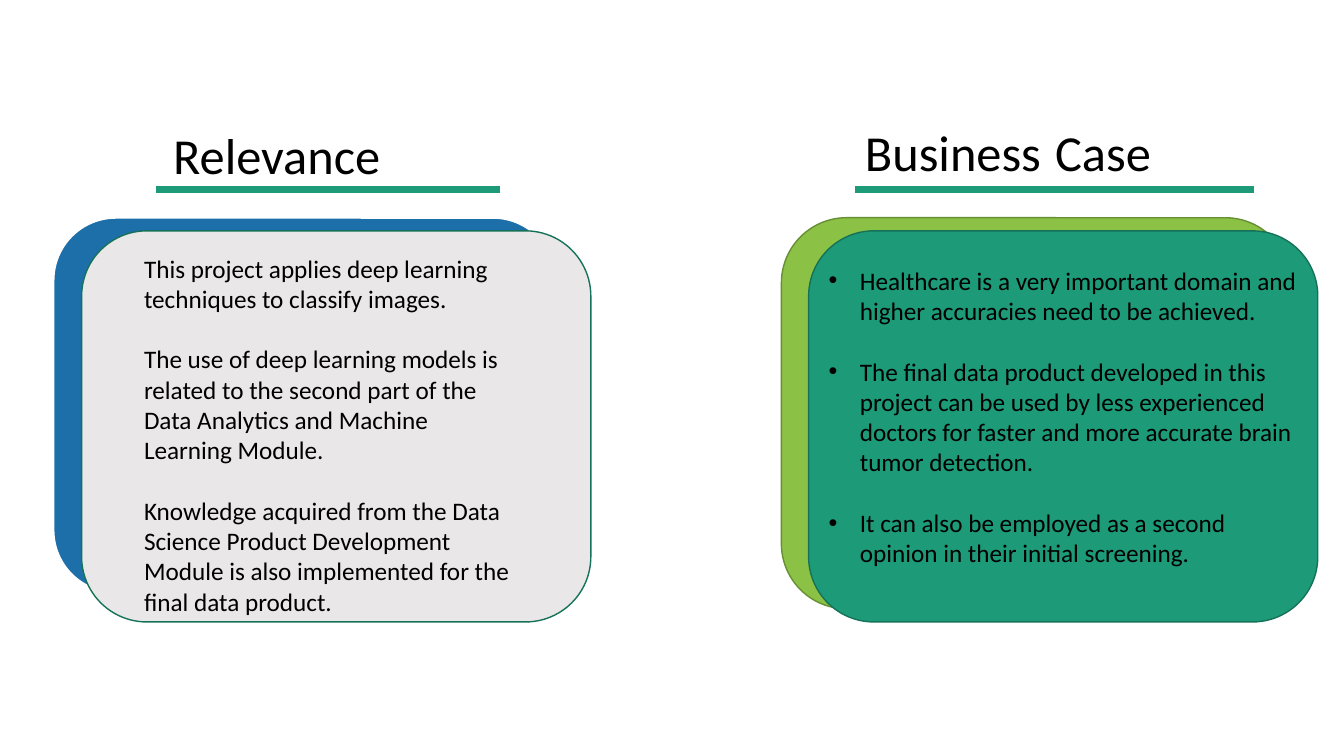
from lxml import etree
from pptx import Presentation
from pptx.dml.color import RGBColor
from pptx.enum.shapes import MSO_CONNECTOR, MSO_SHAPE
from pptx.oxml.ns import qn
from pptx.util import Inches, Pt

ROUNDED = MSO_SHAPE.ROUNDED_RECTANGLE
STRAIGHT = MSO_CONNECTOR.STRAIGHT
GREEN, DARK_GREEN = "1D9A78", "157259"
RULE_TOP = 1.88

RELEVANCE = [
    "This project applies deep learning techniques to classify images.",
    "The use of deep learning models is related to the second part of the "
    "Data Analytics and Machine Learning Module.",
    "Knowledge acquired from the Data Science Product Development Module is "
    "also implemented for the final data product.",
]
BUSINESS_CASE = [
    "Healthcare is a very important domain and higher accuracies need to be achieved.",
    "The final data product developed in this project can be used by less "
    "experienced doctors for faster and more accurate brain tumor detection.",
    "It can also be employed as a second opinion in their initial screening.",
]


def color(value):
    return RGBColor.from_string(value)


def add_span(para, text, size=18, font="Calibri", fill="000000"):
    span = para.add_run()
    span.text = text
    span.font.size = Pt(size)
    span.font.name = font
    span.font.color.rgb = color(fill)


def add_bullet(para, indent=0.31):
    properties = para._p.get_or_add_pPr()
    properties.set("marL", str(Inches(indent)))
    properties.set("indent", str(-Inches(indent)))
    etree.SubElement(properties, qn("a:buFont"), typeface="Arial")
    etree.SubElement(properties, qn("a:buChar"), char="•")


class Page:
    """Draws cards, rules and text on one slide in a shared style."""

    def __init__(self, deck):
        self.shapes = deck.slides.add_slide(deck.slide_layouts[6]).shapes

    def card(self, left, top, width, height, fill, line, weight=1):
        card = self.shapes.add_shape(
            ROUNDED, Inches(left), Inches(top), Inches(width), Inches(height))
        card.shadow.inherit = False
        card.fill.solid()
        card.fill.fore_color.rgb = color(fill)
        card.line.color.rgb = color(line)
        card.line.width = Pt(weight)

    def rule(self, left, right):
        rule = self.shapes.add_connector(
            STRAIGHT, Inches(left), Inches(RULE_TOP), Inches(right), Inches(RULE_TOP))
        rule.line.color.rgb = color(GREEN)
        rule.line.width = Pt(4.5)
        etree.SubElement(rule._element.spPr, qn("a:effectLst"))

    def frame(self, left, top, width, height):
        box = self.shapes.add_textbox(
            Inches(left), Inches(top), Inches(width), Inches(height))
        box.text_frame.word_wrap = True
        return box.text_frame

    def heading(self, left, top, width, height, spans):
        para = self.frame(left, top, width, height).paragraphs[0]
        for text, size in spans:
            add_span(para, text, size=size)

    def body(self, left, top, width, height, texts, bullets=False):
        frame = self.frame(left, top, width, height)
        for index, text in enumerate(texts):
            para = frame.add_paragraph() if index else frame.paragraphs[0]
            if index:
                para.space_before = Pt(21.7)
            if bullets:
                add_bullet(para)
            add_span(para, text)


def main():
    deck = Presentation()
    deck.slide_width, deck.slide_height = Inches(13.33), Inches(7.5)
    page = Page(deck)

    page.card(0.53, 2.16, 4.98, 3.72, "1D6FA9", "FFFFFF", weight=1.5)
    page.card(0.81, 2.29, 5.05, 3.88, "E9E7E7", DARK_GREEN)
    page.body(1.33, 2.46, 3.92, 4.04, RELEVANCE)
    page.heading(1.62, 1.18, 3.34, 0.71, [("Relevance", 36)])
    page.rule(1.55, 4.96)

    page.heading(8.48, 1.04, 4.32, 0.84, [("Business", 36), (" ", 44), ("Case", 36)])
    page.rule(8.48, 12.44)
    page.card(7.75, 2.16, 5.05, 3.88, "8BC145", "678F33")
    page.card(8.02, 2.29, 5.05, 3.88, GREEN, DARK_GREEN)
    page.body(8.12, 2.58, 4.87, 3.43, BUSINESS_CASE, bullets=True)

    deck.save("out.pptx")


if __name__ == "__main__":
    main()
